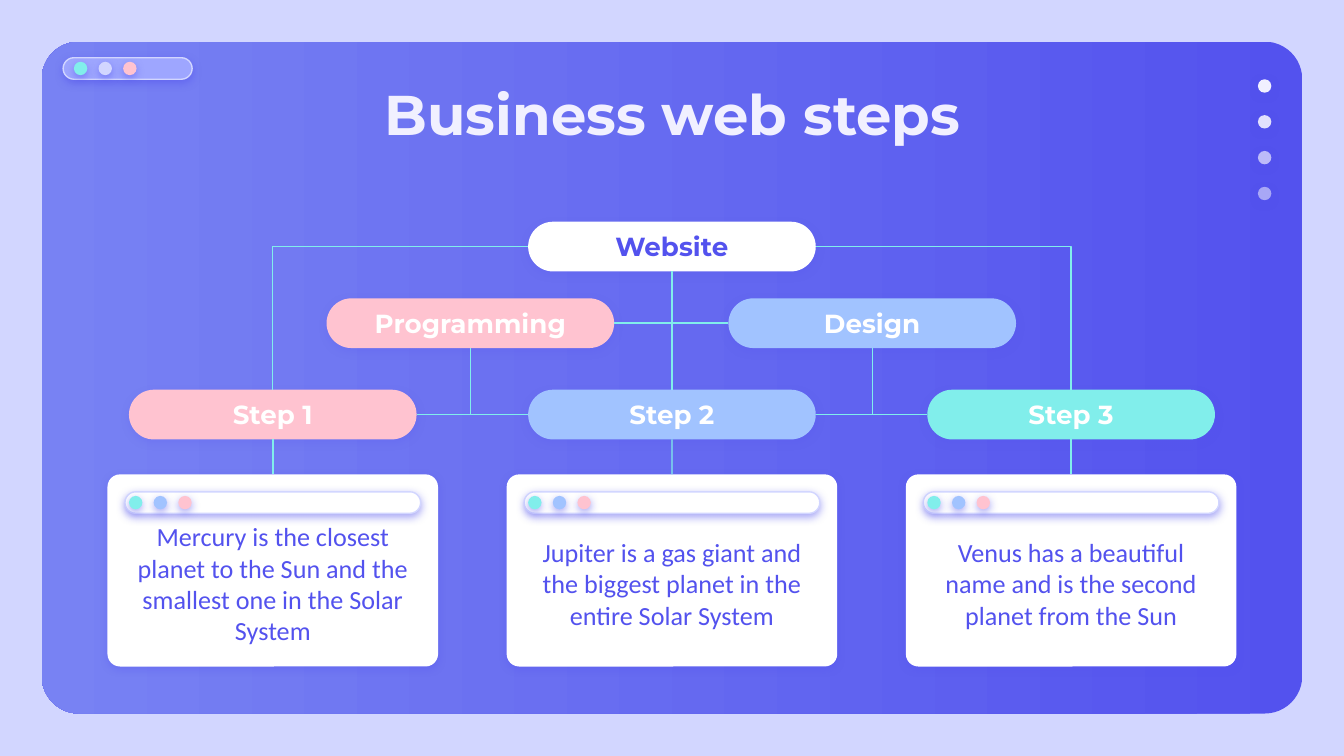
from typing import NamedTuple

from lxml.etree import SubElement as Sub
from pptx import Presentation
from pptx.dml.color import RGBColor as Rgb
from pptx.enum.shapes import MSO_CONNECTOR as Conn, MSO_SHAPE as Kind
from pptx.enum.text import MSO_ANCHOR as Anchor, PP_ALIGN as Align
from pptx.oxml.ns import qn
from pptx.util import Inches, Pt

HUE = {
    "lilac": "D2D6FF", "violet": "5352EE", "sky": "7882F3", "bar": "9EA6FF",
    "mint": "81EEEB", "pink": "FFC3D0", "blue": "A1C3FF",
    "pale": "F1F0FF", "white": "FFFFFF",
}
TOP, LEFT, BOTTOM, RIGHT = range(4)
WIDE = Inches(10)
PILL_W, PILL_H = 2.14, 0.37
CARD_W, CARD_H, CARD_Y = 2.46, 1.43, 3.53
DOT, GAP = 0.1, 0.55 / 3


class Box(NamedTuple):
    x: float
    y: float
    w: float
    h: float


class Pill(NamedTuple):
    label: str
    mid: float
    y: float
    fill: str
    ink: str = "white"


class Link(NamedTuple):
    start: str
    out: int
    end: str
    into: int


PILLS = [
    Pill("Website", 5, 1.65, "white", "violet"),
    Pill("Programming", 3.5, 2.22, "pink"),
    Pill("Design", 6.49, 2.22, "blue"),
    Pill("Step 1", 2.03, 2.9, "pink"),
    Pill("Step 2", 5, 2.9, "blue"),
    Pill("Step 3", 7.97, 2.9, "mint"),
]
CARDS = {
    "Step 1": "Mercury is the closest planet to the Sun and the smallest one in the Solar System",
    "Step 2": "Jupiter is a gas giant and the biggest planet in the entire Solar System",
    "Step 3": "Venus has a beautiful name and is the second planet from the Sun",
}
LINKS = [
    Link("Website", LEFT, "Step 1", TOP),
    Link("Website", RIGHT, "Step 3", TOP),
    Link("Website", BOTTOM, "Step 2", TOP),
    Link("Programming", RIGHT, "Website", BOTTOM),
    Link("Design", LEFT, "Website", BOTTOM),
    Link("Step 1", RIGHT, "Programming", BOTTOM),
    Link("Step 2", LEFT, "Programming", BOTTOM),
    Link("Step 2", RIGHT, "Design", BOTTOM),
    Link("Step 3", LEFT, "Design", BOTTOM),
]


def tint(name: str) -> Rgb:
    return Rgb.from_string(HUE[name])


def shade(shape, alpha: int) -> None:
    effects = shape._element.spPr.find(qn("a:effectLst"))
    cast = Sub(effects, qn("a:outerShdw"), blurRad=str(Pt(4.5)),
               dist=str(Pt(1.5)), dir="5400000", algn="bl", rotWithShape="0")
    hue = Sub(cast, qn("a:srgbClr"), val=HUE["violet"])
    Sub(hue, qn("a:alpha"), val=str(alpha * 1000))


def draw(slide, kind: Kind, box: Box, fill: str, alpha: int, curve: float = 0.5):
    shape = slide.shapes.add_shape(kind, *map(Inches, box))
    if kind == Kind.ROUNDED_RECTANGLE:
        shape.adjustments[0] = curve
    shape.fill.solid()
    shape.fill.fore_color.rgb = tint(fill)
    shape.line.fill.background()
    shape.shadow.inherit = False
    if alpha:
        shade(shape, alpha)
    return shape


def write(shape, text: str, font: str, size: int, ink: str,
          bold: bool = False, anchor: Anchor = Anchor.MIDDLE, inset: float = 0.1) -> None:
    frame = shape.text_frame
    frame.word_wrap = True
    frame.vertical_anchor = anchor
    frame.margin_left = frame.margin_right = Inches(inset)
    frame.margin_top = frame.margin_bottom = Inches(inset)
    para = frame.paragraphs[0]
    para.text = text
    para.alignment = Align.CENTER
    para.font.name = font
    para.font.size = Pt(size)
    para.font.bold = bold
    para.font.color.rgb = tint(ink)


def add_dot(slide, x: float, y: float, fill: str):
    return draw(slide, Kind.OVAL, Box(x, y, DOT, DOT), fill, 50)


def add_bar(slide, box: Box, fill: str, inset: float, dots: list[str]) -> None:
    bar = draw(slide, Kind.ROUNDED_RECTANGLE, box, fill, 50)
    bar.line.color.rgb = tint("lilac")
    bar.line.width = Pt(0.75)
    for i, hue in enumerate(dots):
        add_dot(slide, box.x + inset + i * GAP, box.y + 0.03, hue)


def add_pill(slide, pill: Pill):
    box = Box(pill.mid - PILL_W / 2, pill.y, PILL_W, PILL_H)
    shape = draw(slide, Kind.ROUNDED_RECTANGLE, box, pill.fill, 18)
    write(shape, pill.label, "Montserrat", 14, pill.ink, bold=True, inset=0)
    return shape


def add_card(slide, mid: float, text: str):
    box = Box(mid - CARD_W / 2, CARD_Y, CARD_W, CARD_H)
    card = draw(slide, Kind.ROUNDED_RECTANGLE, box, "white", 34, 0.065)
    note = slide.shapes.add_textbox(*map(Inches, (mid - 1.16, 3.9, 2.32, 0.88)))
    write(note, text, "Calibri", 14, "violet")
    add_bar(slide, Box(mid - 1.1, 3.66, 2.2, 0.16), "white", 0.03,
            ["mint", "blue", "pink"])
    return card


def join(slide, start, out: int, end, into: int) -> None:
    bent = out in (LEFT, RIGHT)
    kind = Conn.ELBOW if bent else Conn.STRAIGHT
    line = slide.shapes.add_connector(kind, 0, 0, 0, 0)
    line.begin_connect(start, out)
    line.end_connect(end, into)
    line.line.color.rgb = tint("mint")
    line.line.width = Pt(0.75)
    props = line._element.spPr
    if bent:
        props.find(qn("a:prstGeom")).set("prst", "bentConnector2")
    Sub(props, qn("a:effectLst"))


def add_frame(slide) -> None:
    panel = draw(slide, Kind.ROUNDED_RECTANGLE, Box(0.31, 0.31, 9.38, 5), "violet", 0, 0.056)
    panel.fill.gradient()
    panel.fill.gradient_angle = 180
    for stop, hue in zip(panel.fill.gradient_stops, ("violet", "sky")):
        stop.color.rgb = tint(hue)
    add_bar(slide, Box(0.47, 0.43, 0.96, 0.16), "bar", 0.08, ["mint", "lilac", "pink"])
    for i, alpha in enumerate((100, 90, 67, 54)):
        dot = add_dot(slide, 9.36, 0.59 + i * 0.8 / 3, "pale")
        if alpha < 100:
            hue = dot._element.spPr.find(qn("a:solidFill"))[0]
            Sub(hue, qn("a:alpha"), val=str(alpha * 1000))


def main() -> None:
    deck = Presentation()
    deck.slide_width, deck.slide_height = WIDE, WIDE * 9 // 16
    slide = deck.slides.add_slide(deck.slide_layouts[6])
    slide.background.fill.solid()
    slide.background.fill.fore_color.rgb = tint("lilac")
    add_frame(slide)
    title = slide.shapes.add_textbox(*map(Inches, (0.79, 0.49, 8.43, 0.63)))
    write(title, "Business web steps", "Montserrat", 30, "pale", bold=True, anchor=Anchor.TOP)

    nodes = {pill.label: add_pill(slide, pill) for pill in PILLS}
    mids = {pill.label: pill.mid for pill in PILLS}
    for link in LINKS:
        join(slide, nodes[link.start], link.out, nodes[link.end], link.into)
    for step, text in CARDS.items():
        card = add_card(slide, mids[step], text)
        join(slide, nodes[step], BOTTOM, card, TOP)
    deck.save("out.pptx")


if __name__ == "__main__":
    main()
